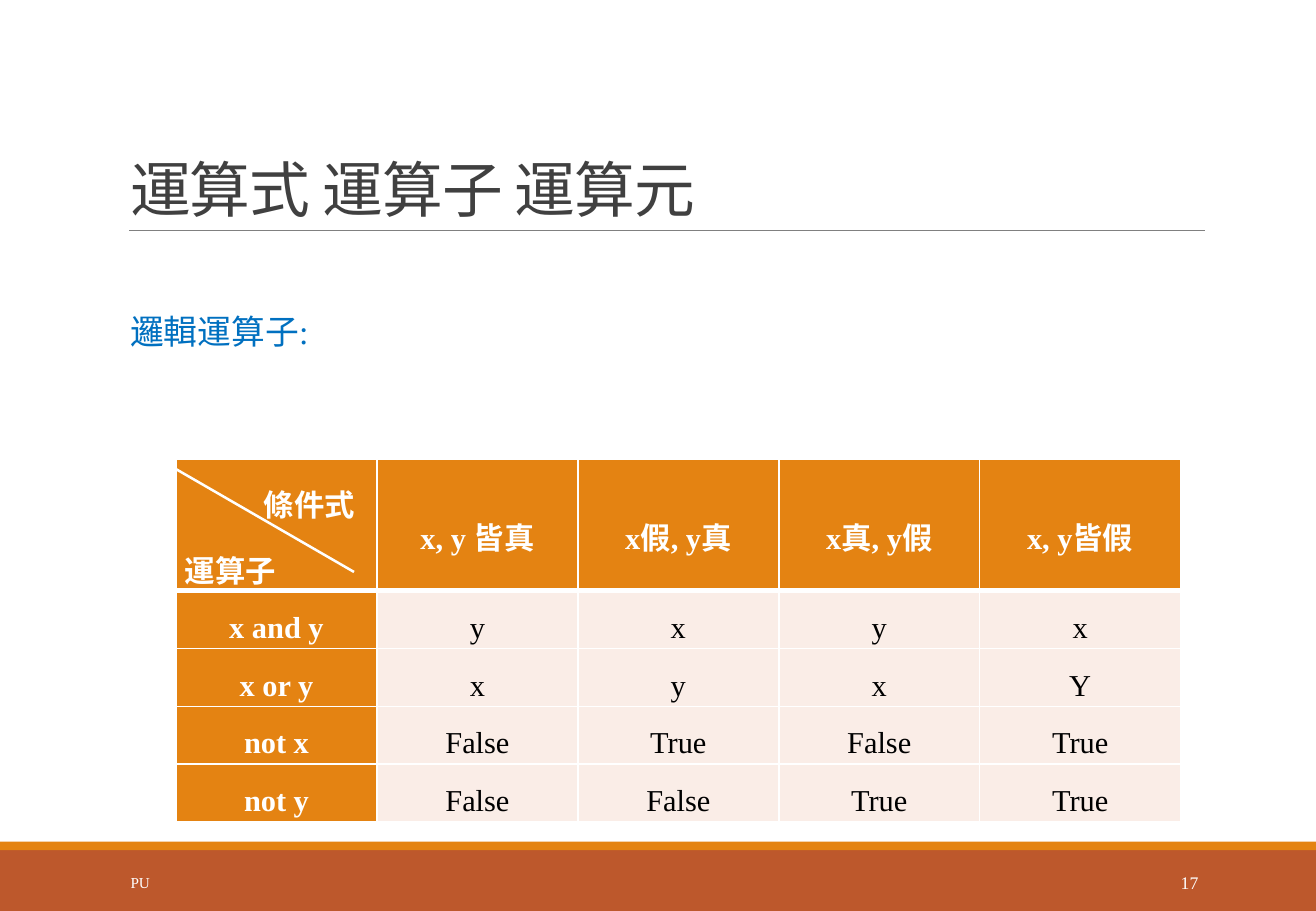
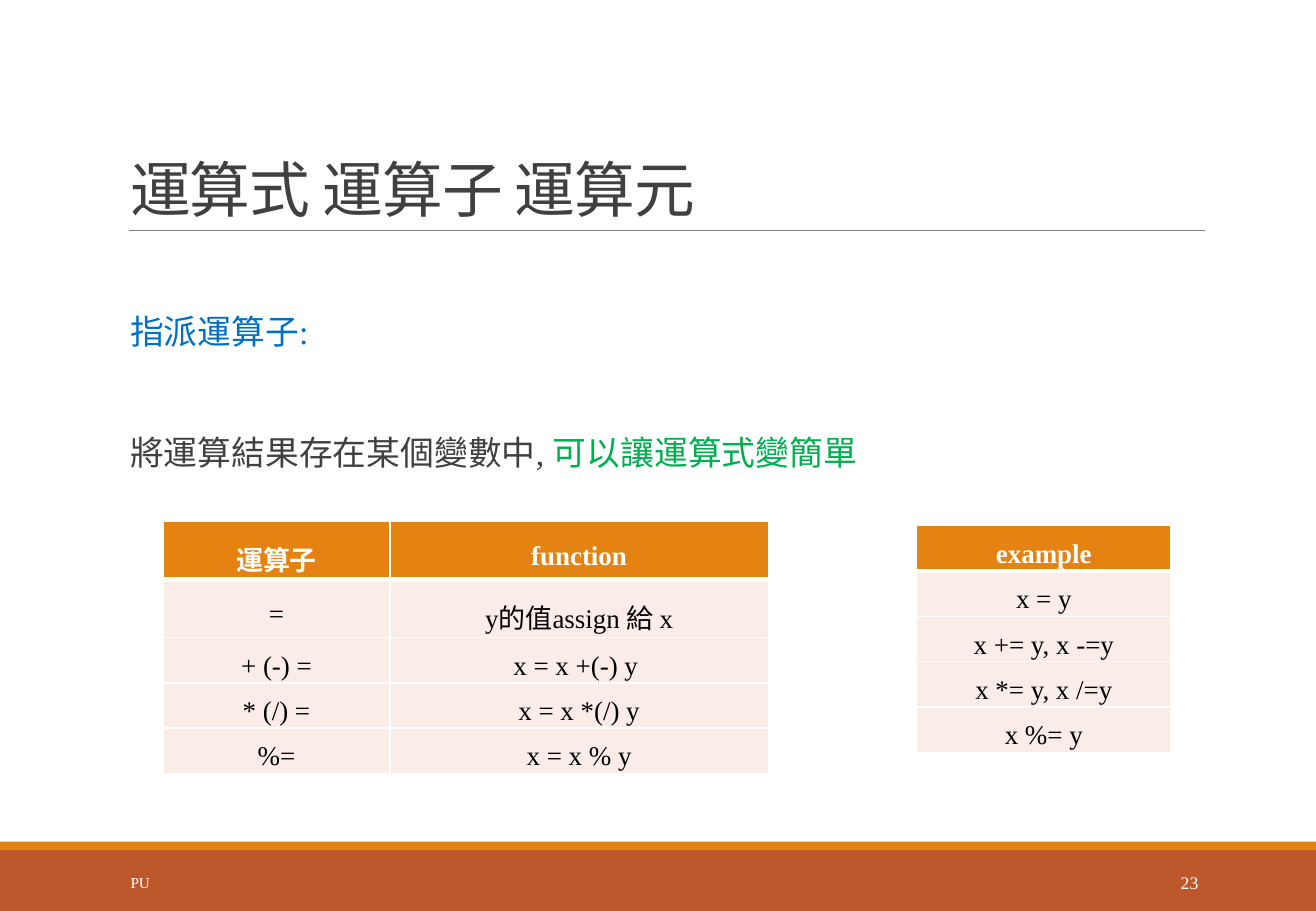
from lxml import etree
from pptx import Presentation
from pptx.dml.color import RGBColor
from pptx.enum.shapes import MSO_CONNECTOR, MSO_SHAPE
from pptx.enum.text import MSO_ANCHOR, PP_ALIGN
from pptx.oxml import parse_xml
from pptx.oxml.ns import nsdecls, qn
from pptx.util import Cm, Pt

STRAIGHT, RECTANGLE = MSO_CONNECTOR.STRAIGHT, MSO_SHAPE.RECTANGLE
TOP, MIDDLE, BOTTOM = MSO_ANCHOR.TOP, MSO_ANCHOR.MIDDLE, MSO_ANCHOR.BOTTOM
LEFT, CENTER, RIGHT = PP_ALIGN.LEFT, PP_ALIGN.CENTER, PP_ALIGN.RIGHT

FONT = "Times New Roman"
WHITE = RGBColor(0xFF, 0xFF, 0xFF)
BLACK = RGBColor(0x00, 0x00, 0x00)
DARK_GRAY = RGBColor(0x40, 0x40, 0x40)
RULE_GRAY = RGBColor(0x80, 0x80, 0x80)
BLUE = RGBColor(0x00, 0x70, 0xC0)
GREEN = RGBColor(0x00, 0xB0, 0x50)
ORANGE = RGBColor(0xE4, 0x83, 0x12)
RUST = RGBColor(0xBD, 0x58, 0x2C)
PALE = RGBColor(0xFA, 0xED, 0xE7)

SLIDE_WIDTH, SLIDE_HEIGHT = Cm(27.51), Cm(19.05)
TITLE_BOX = (Cm(2.47), Cm(0.79), Cm(22.7), Cm(4.04))
BODY_BOX = (Cm(2.47), Cm(5.14), Cm(22.7), Cm(11.18))
CELL_MARGIN = Cm(0.18)


# Text and line helpers
def write(paragraph, text, size=18, color=BLACK, bold=False, align=LEFT,
          line_spacing=1.0, tracking=None):
    """Add a formatted run to a paragraph."""
    paragraph.alignment = align
    paragraph.line_spacing = line_spacing
    run = paragraph.add_run()
    run.text = text
    font = run.font
    font.name, font.size, font.bold = FONT, Pt(size), bold
    font.color.rgb = color
    if tracking is not None:
        run._r.get_or_add_rPr().set("spc", str(round(tracking * 100)))


def add_text_frame(slide, box, anchor):
    frame = slide.shapes.add_textbox(*box).text_frame
    frame.word_wrap = True
    frame.vertical_anchor = anchor
    return frame


def add_line(slide, start, end, color, width):
    line = slide.shapes.add_connector(STRAIGHT, *start, *end)
    line.line.color.rgb = color
    line.line.width = Pt(width)
    etree.SubElement(line._element.spPr, qn("a:effectLst"))


# Parts shared by every slide
def add_band(slide, top, height, color):
    band = slide.shapes.add_shape(RECTANGLE, 0, top, SLIDE_WIDTH, height)
    band.shadow.inherit = False
    band.fill.solid()
    band.fill.fore_color.rgb = color
    band.line.fill.background()


def add_footer(slide, number):
    add_band(slide, Cm(17.78), Cm(1.27), RUST)
    add_band(slide, Cm(17.6), Cm(0.18), ORANGE)
    top, height = Cm(17.94), Cm(1.01)
    label = add_text_frame(slide, (Cm(2.48), top, Cm(5.58), height), MIDDLE)
    write(label.paragraphs[0], "PU", size=9, color=WHITE)
    page = add_text_frame(slide, (Cm(22.33), top, Cm(2.97), height), MIDDLE)
    write(page.paragraphs[0], str(number), size=10.5, color=WHITE, align=RIGHT)


def add_title(slide, box, text):
    frame = add_text_frame(slide, box, BOTTOM)
    write(frame.paragraphs[0], text, size=36, color=DARK_GRAY,
          line_spacing=0.85, tracking=-0.5)
    rule_top = Cm(4.82)
    add_line(slide, (Cm(2.7), rule_top), (Cm(25.19), rule_top), RULE_GRAY, 0.5)


def add_body(slide, box, paragraphs):
    """Write paragraphs, each a list of (text, color) runs."""
    frame = add_text_frame(slide, box, TOP)
    frame.margin_left, frame.margin_right = Cm(0.25), 0
    frame.margin_top = Cm(1.46)
    for index, runs in enumerate(paragraphs):
        paragraph = frame.add_paragraph() if index else frame.paragraphs[0]
        paragraph.space_before = Pt(48 if index else 0)
        paragraph.space_after = Pt(2)
        for text, color in runs:
            write(paragraph, text, size=20, color=color, line_spacing=0.9)


def add_base_slide(presentation, number, paragraphs):
    slide = presentation.slides.add_slide(presentation.slide_layouts[6])
    add_footer(slide, number)
    add_title(slide, TITLE_BOX, "運算式 運算子 運算元")
    add_body(slide, BODY_BOX, paragraphs)
    return slide


# Tables
def set_borders(cell, **widths):
    """Draw white borders; widths are points by side L, R, T, B."""
    properties = cell._tc.get_or_add_tcPr()
    for side in "LRTB":
        properties.append(parse_xml(
            f'<a:ln{side} {nsdecls("a")} w="{Pt(widths.get(side, 1))}">'
            f'<a:solidFill><a:srgbClr val="{WHITE}"/></a:solidFill></a:ln{side}>'))


def add_grid(slide, left, top, column_widths, row_heights, rows, size,
             line_spacing, header_column=False):
    table = slide.shapes.add_table(
        len(rows), len(column_widths), left, top,
        sum(column_widths), sum(row_heights)).table
    table.first_row = table.horz_banding = False
    for column, width in zip(table.columns, column_widths):
        column.width = width
    for row_index, texts in enumerate(rows):
        table.rows[row_index].height = row_heights[row_index]
        for column_index, text in enumerate(texts):
            cell = table.cell(row_index, column_index)
            is_header = row_index == 0 or (header_column and column_index == 0)
            set_borders(cell, T=3 if row_index == 1 else 1,
                        B=3 if row_index == 0 else 1)
            cell.fill.solid()
            cell.fill.fore_color.rgb = ORANGE if is_header else PALE
            cell.vertical_anchor = MIDDLE
            cell.margin_left = cell.margin_right = CELL_MARGIN
            cell.margin_top = cell.margin_bottom = 0
            if text:
                write(cell.text_frame.paragraphs[0], text, size=size,
                      color=WHITE if is_header else BLACK, bold=is_header,
                      align=CENTER, line_spacing=line_spacing)
    return table


def add_corner(slide, cell, left, top, column_label, row_label):
    """Split the corner cell by a diagonal between its two labels."""
    cell.vertical_anchor = TOP
    cell.margin_right = Cm(0.46)
    frame = cell.text_frame
    style = dict(size=18, color=WHITE, bold=True, line_spacing=1.5)
    write(frame.paragraphs[0], column_label, align=RIGHT, **style)
    write(frame.add_paragraph(), row_label, **style)
    add_line(slide, (left, top + Cm(0.2)),
             (left + Cm(3.72), top + Cm(2.35)), WHITE, 1.5)


# Slides
def add_logical_slide(presentation):
    slide = add_base_slide(presentation, 17, [[("邏輯運算子:", BLUE)]])
    left, top = Cm(3.68), Cm(9.61)
    table = add_grid(slide, left, top, [Cm(4.2)] * 5,
                     [Cm(2.74)] + [Cm(1.21)] * 4, [
        ("", "x, y 皆真", "x假, y真", "x真, y假", "x, y皆假"),
        ("x and y", "y", "x", "y", "x"),
        ("x or y", "x", "y", "x", "Y"),
        ("not x", "False", "True", "False", "True"),
        ("not y", "False", "False", "True", "True"),
    ], size=18, line_spacing=1.5, header_column=True)
    add_corner(slide, table.cell(0, 0), left, top, "條件式", "運算子")


def add_assignment_slide(presentation):
    slide = add_base_slide(presentation, 23, [
        [("指派運算子:", BLUE)],
        [("將運算結果存在某個變數中, ", DARK_GRAY),
         ("可以讓運算式變簡單", GREEN)],
    ])
    tall, short = Cm(1.21), Cm(0.94)
    style = dict(size=16, line_spacing=1.4)
    add_grid(slide, Cm(3.41), Cm(10.91), [Cm(4.74), Cm(7.91)],
             [tall] * 2 + [short] * 3, [
        ("運算子", "function"),
        ("=", "y的值assign 給 x"),
        ("+ (-) =", "x = x +(-) y "),
        ("* (/) =", "x = x *(/) y"),
        ("%=", "x = x % y"),
    ], **style)
    examples = ["example", "x = y", "x += y, x -=y", "x *= y, x /=y", "x %= y"]
    add_grid(slide, Cm(19.16), Cm(10.99), [Cm(5.32)], [short] * 5,
             [(example,) for example in examples], **style)


presentation = Presentation()
presentation.slide_width, presentation.slide_height = SLIDE_WIDTH, SLIDE_HEIGHT
add_logical_slide(presentation)
add_assignment_slide(presentation)
presentation.save("out.pptx")
